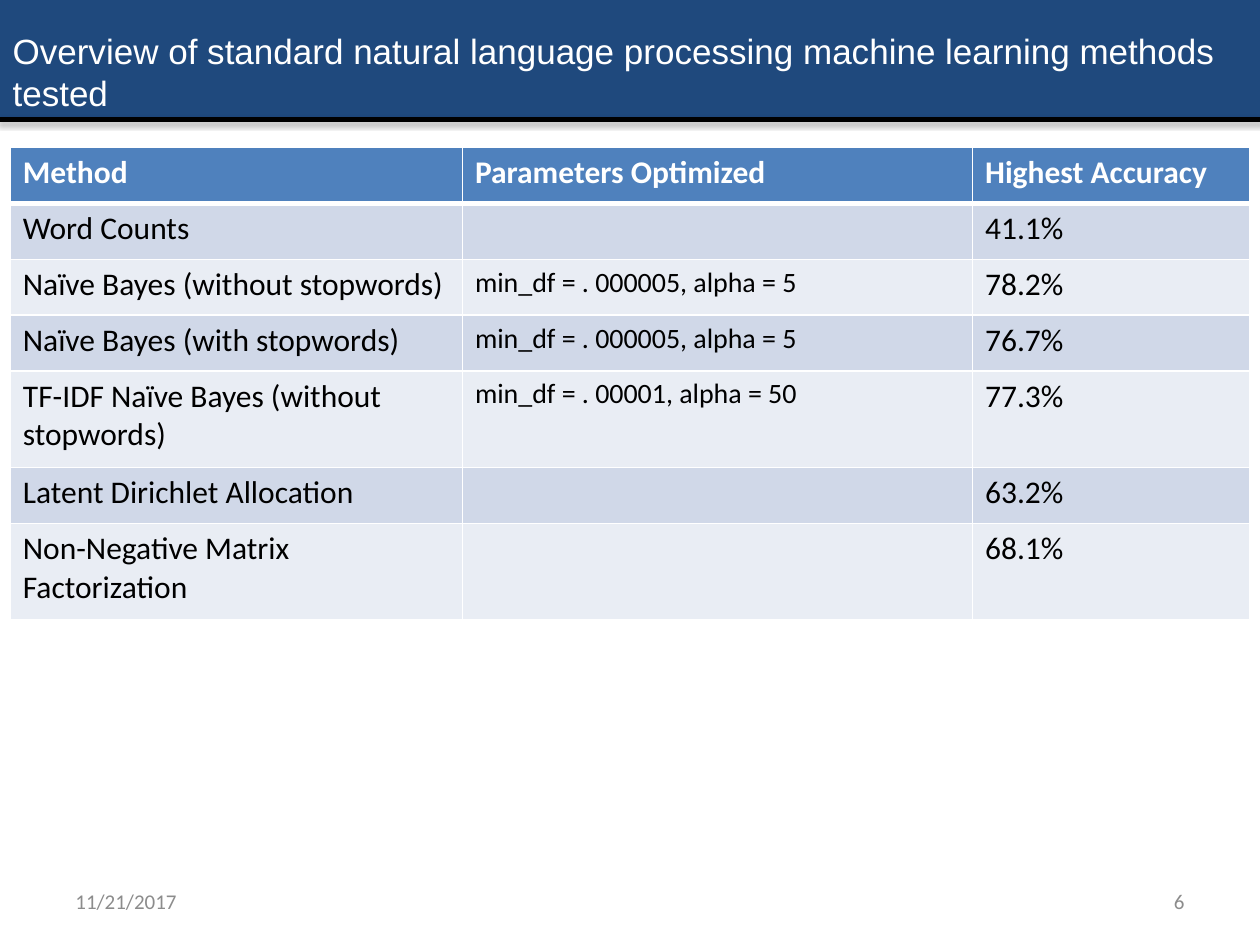
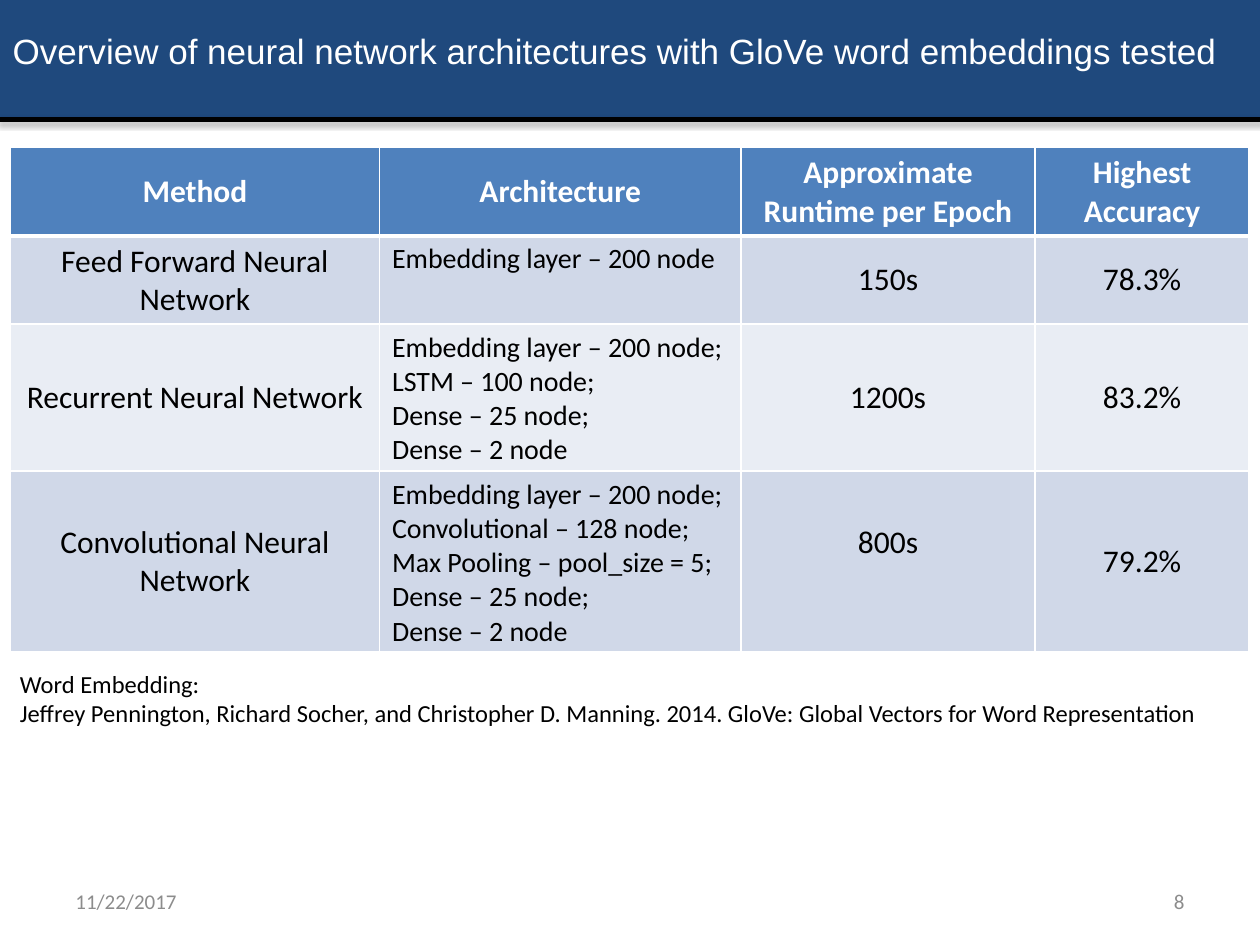
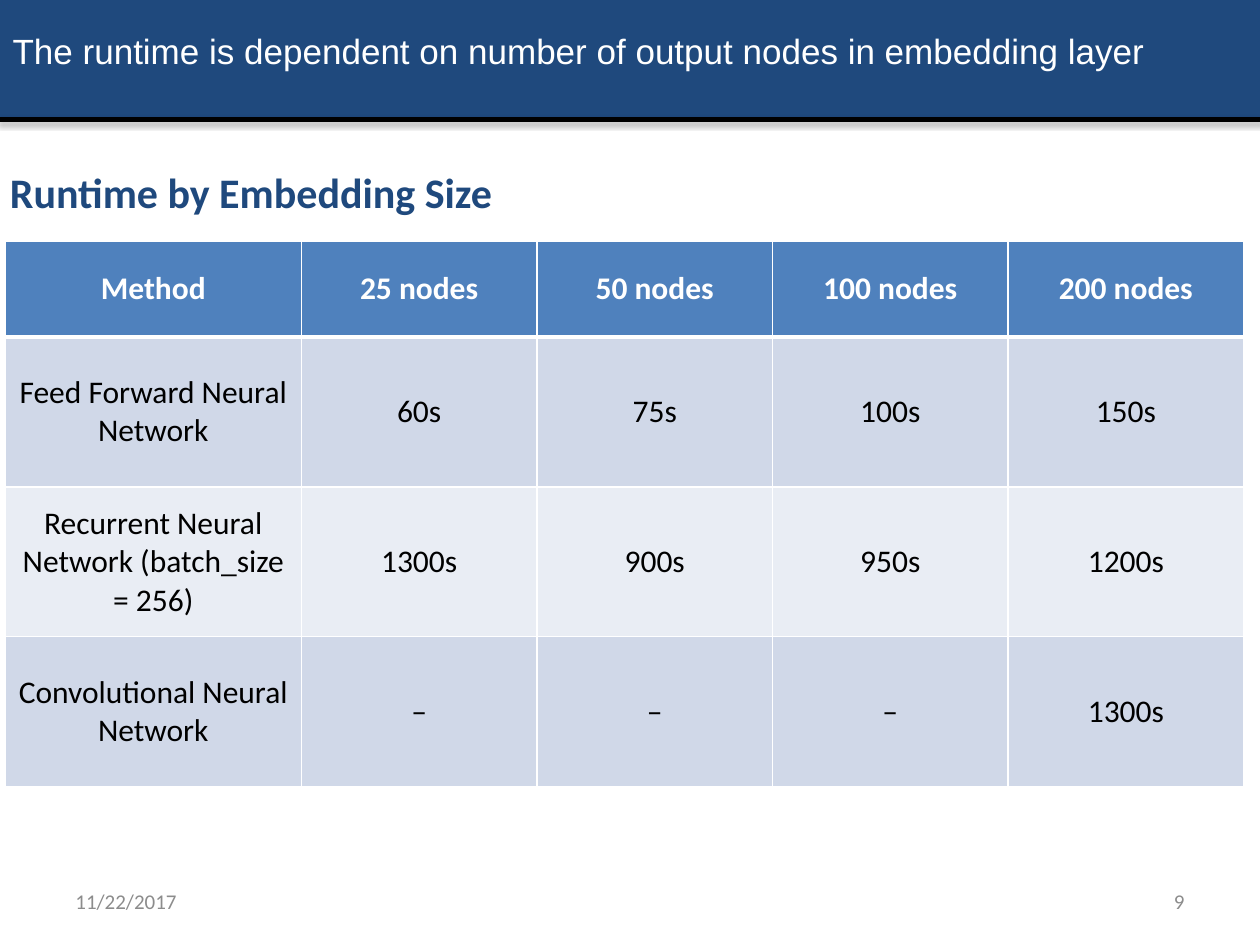
from lxml.etree import SubElement
from pptx import Presentation
from pptx.dml.color import RGBColor
from pptx.enum.shapes import MSO_CONNECTOR, MSO_SHAPE
from pptx.enum.text import MSO_ANCHOR, MSO_AUTO_SIZE, PP_ALIGN
from pptx.oxml.ns import qn
from pptx.util import Pt

COLORS = {
    "navy": "1F497D",
    "header": "4F81BD",
    "band_dark": "D0D8E8",
    "band_light": "E9EDF4",
    "white": "FFFFFF",
    "black": "000000",
    "footer": "8C8C8C",
}
BODY_FONT = "Calibri"
TITLE_FONT = "Arial"
FOOTER_TOP, FOOTER_WIDTH, FOOTER_HEIGHT = 500.5, 168, 28.75
DETAIL_COLUMN = 1

SLIDES = [
    {
        "title": "Overview of standard natural language processing machine learning methods tested",
        "date": "11/21/2017",
        "number": "6",
        "table": {
            "origin": (5.9, 84.4),
            "columns": [258.4, 291.5, 158.3],
            "heights": [31.9, 31.9, 31.9, 31.9, 55.2, 31.9, 55.2],
            "centered": False,
            "details": True,
            "rows": [
                ["Method", "Parameters Optimized", "Highest Accuracy"],
                ["Word Counts", "", "41.1%"],
                ["Naïve Bayes (without stopwords)", "min_df = . 000005, alpha = 5", "78.2%"],
                ["Naïve Bayes (with stopwords)", "min_df = . 000005, alpha = 5", "76.7%"],
                ["TF-IDF Naïve Bayes (without stopwords)", "min_df = . 00001, alpha = 50", "77.3%"],
                ["Latent Dirichlet Allocation", "", "63.2%"],
                ["Non-Negative Matrix Factorization", "", "68.1%"],
            ],
        },
        "texts": [],
    },
    {
        "title": "Overview of neural network architectures with GloVe word embeddings tested",
        "date": "11/22/2017",
        "number": "8",
        "table": {
            "origin": (5.9, 84.4),
            "columns": [211, 206.6, 168, 122.4],
            "heights": [50.3, 50.3, 84, 103],
            "centered": True,
            "details": True,
            "raised_cell": (3, 2),
            "rows": [
                ["Method", "Architecture", "Approximate Runtime per Epoch", "Highest Accuracy"],
                ["Feed Forward Neural Network", "Embedding layer – 200 node", "150s", "78.3%"],
                [
                    "Recurrent Neural Network",
                    "Embedding layer – 200 node;\nLSTM – 100 node;\nDense – 25 node;\nDense – 2 node",
                    "1200s",
                    "83.2%",
                ],
                [
                    "Convolutional Neural Network",
                    "Embedding layer – 200 node;\nConvolutional – 128 node;\n"
                    "Max Pooling – pool_size = 5;\nDense – 25 node;\nDense – 2 node",
                    "800s",
                    "79.2%",
                ],
            ],
        },
        "texts": [
            {
                "box": (4.3, 378.7, 693.4, 41),
                "text": "Word Embedding:\nJeffrey Pennington, Richard Socher, and Christopher D. Manning. 2014. "
                        "GloVe: Global Vectors for Word Representation",
                "size": 14,
                "color": "black",
                "wrap": False,
            },
        ],
    },
    {
        "title": "The runtime is dependent on number of output nodes in embedding layer",
        "date": "11/22/2017",
        "number": "9",
        "table": {
            "origin": (3, 138),
            "columns": [169.2] + [134.64] * 4,
            "heights": [54.5] + [85.7] * 3,
            "centered": True,
            "details": False,
            "rows": [
                ["Method", "25 nodes", "50 nodes", "100 nodes", "200 nodes"],
                ["Feed Forward Neural Network", "60s", "75s", "100s", "150s"],
                ["Recurrent Neural Network (batch_size = 256)", "1300s", "900s", "950s", "1200s"],
                ["Convolutional Neural Network", "–", "–", "–", "1300s"],
            ],
        },
        "texts": [
            {
                "box": (-1.4, 91.4, 707.8, 36),
                "text": "Runtime by Embedding Size",
                "size": 24,
                "color": "navy",
                "bold": True,
            },
        ],
    },
]


def rgb(name):
    return RGBColor.from_string(COLORS[name])


def write(text_frame, text, size, color, bold=False, font=BODY_FONT, align=PP_ALIGN.LEFT):
    for index, line in enumerate(text.split("\n")):
        paragraph = text_frame.paragraphs[0] if index == 0 else text_frame.add_paragraph()
        paragraph.alignment = align
        if line:
            run = paragraph.add_run()
            run.text = line
            run.font.name = font
            run.font.size = Pt(size)
            run.font.bold = bold
            run.font.color.rgb = rgb(color)


def add_text(slide, box, text, size, color, wrap=True, anchor=MSO_ANCHOR.TOP, **style):
    text_frame = slide.shapes.add_textbox(*map(Pt, box)).text_frame
    text_frame.word_wrap = wrap
    text_frame.vertical_anchor = anchor
    write(text_frame, text, size, color, **style)


def add_shadow(connector):
    effects = SubElement(connector.element.spPr, qn("a:effectLst"))
    shadow = SubElement(effects, qn("a:outerShdw"), blurRad=str(Pt(3.1)), dist=str(Pt(1.8)),
                        dir="5400000", rotWithShape="0")
    color = SubElement(shadow, qn("a:srgbClr"), val=COLORS["black"])
    SubElement(color, qn("a:alpha"), val="35000")


def add_band_to_layout(slide):
    band = slide.shapes.add_shape(MSO_SHAPE.RECTANGLE, Pt(-1), Pt(0), Pt(722), Pt(67))
    band.shadow.inherit = False
    band.fill.solid()
    band.fill.fore_color.rgb = rgb("navy")
    band.line.fill.background()
    rule = slide.shapes.add_connector(MSO_CONNECTOR.STRAIGHT, Pt(-1), Pt(68.4), Pt(721), Pt(68.4))
    rule.line.color.rgb = rgb("black")
    rule.line.width = Pt(3)
    add_shadow(rule)
    for shape in (band, rule):
        slide.slide_layout.shapes.element.append(shape.element)


def add_title(slide, text):
    title = slide.shapes.title
    title.left, title.top, title.width, title.height = map(Pt, (0, 13, 714, 55))
    title.text_frame.auto_size = MSO_AUTO_SIZE.NONE
    title.text_frame.vertical_anchor = MSO_ANCHOR.TOP
    write(title.text_frame, text, 20, "white", font=TITLE_FONT)


def add_footer(slide, date, number):
    for left, text, align in ((36, date, PP_ALIGN.LEFT), (516, number, PP_ALIGN.RIGHT)):
        add_text(slide, (left, FOOTER_TOP, FOOTER_WIDTH, FOOTER_HEIGHT), text, 12, "footer",
                 anchor=MSO_ANCHOR.MIDDLE, align=align)


def set_borders(cell, is_header, below_header):
    properties = cell._tc.get_or_add_tcPr()
    widths = {"lnL": 1, "lnR": 1, "lnT": 3 if below_header else 1, "lnB": 3 if is_header else 1}
    for position, (side, width) in enumerate(widths.items()):
        line = SubElement(properties, qn(f"a:{side}"), w=str(Pt(width)))
        fill = SubElement(line, qn("a:solidFill"))
        SubElement(fill, qn("a:srgbClr"), val=COLORS["white"])
        properties.insert(position, line)


def add_table(slide, data):
    columns, heights = data["columns"], data["heights"]
    box = (*data["origin"], sum(columns), sum(heights))
    table = slide.shapes.add_table(len(heights), len(columns), *map(Pt, box)).table
    table.horz_banding = False
    for column, width in zip(table.columns, columns):
        column.width = Pt(width)
    for row_index, (row, height) in enumerate(zip(table.rows, heights)):
        row.height = Pt(height)
        is_header = row_index == 0
        fill = "header" if is_header else "band_dark" if row_index % 2 else "band_light"
        for column_index, cell in enumerate(row.cells):
            is_detail = data["details"] and column_index == DETAIL_COLUMN and not is_header
            centered = data["centered"] and not is_detail
            cell.fill.solid()
            cell.fill.fore_color.rgb = rgb(fill)
            cell.vertical_anchor = MSO_ANCHOR.MIDDLE if centered else MSO_ANCHOR.TOP
            if (row_index, column_index) == data.get("raised_cell"):
                cell.margin_bottom = Pt(25.6)
            set_borders(cell, is_header, row_index == 1)
            write(cell.text_frame, data["rows"][row_index][column_index],
                  16 if is_detail else 18, "white" if is_header else "black", bold=is_header,
                  align=PP_ALIGN.CENTER if centered else PP_ALIGN.LEFT)


def main():
    presentation = Presentation()
    presentation.slide_width, presentation.slide_height = Pt(720), Pt(540)
    layout = presentation.slide_layouts[5]
    for index, content in enumerate(SLIDES):
        slide = presentation.slides.add_slide(layout)
        if index == 0:
            add_band_to_layout(slide)
        add_title(slide, content["title"])
        add_footer(slide, content["date"], content["number"])
        add_table(slide, content["table"])
        for text in content["texts"]:
            add_text(slide, **text)
    presentation.save("out.pptx")


if __name__ == "__main__":
    main()
